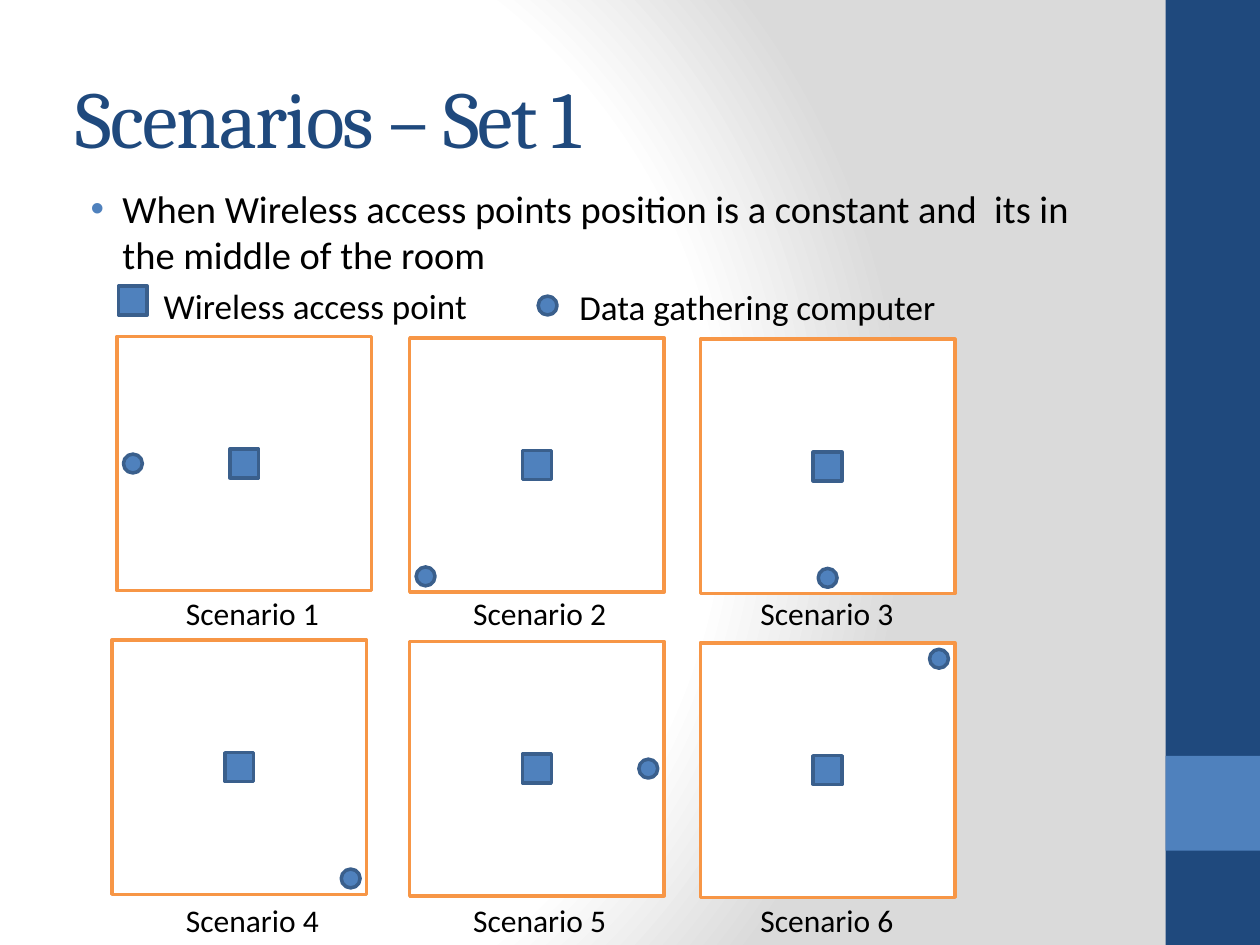
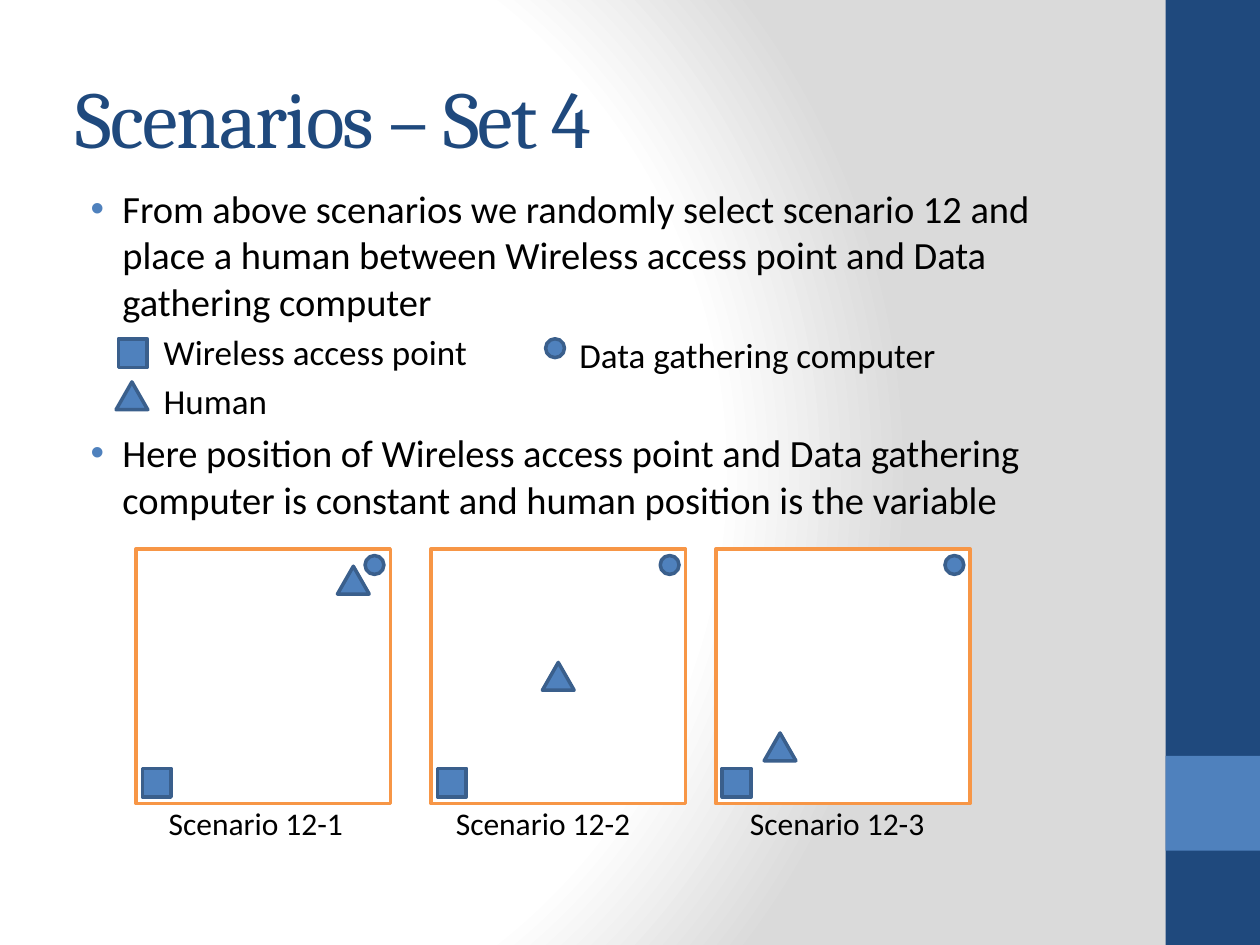
import pptx
import pptx.dml.color
import pptx.enum.shapes
import pptx.enum.text
import pptx.oxml
import pptx.oxml.ns
import pptx.util

Cm, Pt = pptx.util.Cm, pptx.util.Pt
SHAPE = pptx.enum.shapes.MSO_SHAPE
ANCHOR = pptx.enum.text.MSO_ANCHOR
A_NS = pptx.oxml.ns.nsdecls("a")


class Theme:
    navy, blue, outline = "1F497D", "4F81BD", "3A5F8C"
    orange, white, gray, black = "F79646", "FFFFFF", "DADADA", "000000"
    line = Pt(2)
    # Text roles: size, font, colour, left margin and hanging indent in cm
    text = {
        "title": dict(size=46, font="Cambria", color=navy, margin=0, indent=0),
        "point": dict(size=22, font="Calibri", color=black, margin=0.95, indent=-0.64),
        "legend": dict(size=20, font="Calibri", color=black, margin=1.78, indent=0),
        "label": dict(size=20, font="Calibri", color=black, margin=0, indent=0),
        "caption": dict(size=18, font="Calibri", color=black, margin=0, indent=0),
    }


# Marker kinds: outline, width, height in cm
MARKERS = {
    "access point": (SHAPE.RECTANGLE, 0.58, 0.58),
    "computer": (SHAPE.OVAL, 0.38, 0.38),
    "human": (SHAPE.ISOSCELES_TRIANGLE, 0.64, 0.56),
}
ROOM = 5.13
WALL_GAP = 0.13


def add_block(shapes, kind, left, top, width, height, fill, line=None):
    block = shapes.add_shape(kind, Cm(left), Cm(top), Cm(width), Cm(height))
    block.shadow.inherit = False
    block.fill.solid()
    block.fill.fore_color.rgb = pptx.dml.color.RGBColor.from_string(fill)
    if line:
        block.line.color.rgb = pptx.dml.color.RGBColor.from_string(line)
        block.line.width = Theme.line
    else:
        block.line.fill.background()
    return block


def write(holder, box, paragraphs, anchor=ANCHOR.TOP):
    for side, length in zip(("left", "top", "width", "height"), box):
        setattr(holder, side, Cm(length))
    frame = holder.text_frame
    frame_format = dict(word_wrap=True, vertical_anchor=anchor,
                        auto_size=pptx.enum.text.MSO_AUTO_SIZE.NONE)
    for name, value in frame_format.items():
        setattr(frame, name, value)
    for number, (role, words) in enumerate(paragraphs):
        style = Theme.text[role]
        paragraph = frame.add_paragraph() if number else frame.paragraphs[0]
        paragraph.alignment = pptx.enum.text.PP_ALIGN.LEFT
        paragraph.space_before = Pt(style["size"] * 0.2 if number else 0)
        run = paragraph.add_run()
        run.text = words
        for name, value in dict(size=Pt(style["size"]), name=style["font"]).items():
            setattr(run.font, name, value)
        run.font.color.rgb = pptx.dml.color.RGBColor.from_string(style["color"])
        if role == "title":
            run.font._element.set("spc", "-100")
        properties = paragraph._p.get_or_add_pPr()
        properties.set("marL", str(Cm(style["margin"])))
        properties.set("indent", str(Cm(style["indent"])))
        if role == "point":
            for bullet in (
                f'<a:buClr {A_NS}><a:srgbClr val="{Theme.blue}"/></a:buClr>',
                f'<a:buFont {A_NS} typeface="Arial"/>',
                f'<a:buChar {A_NS} char="•"/>',
            ):
                properties.append(pptx.oxml.parse_xml(bullet))


# Scenario rooms: left, top, caption, caption left, caption top, markers inside.
# A marker's place runs from 0 (left or top wall) to 1 (right or bottom wall).
computer_places = [(0, 0.5), (0, 1), (0.5, 1), (1, 1), (1, 0.5), (1, 0)]
room_lefts = [2.36, 8.26, 14.12, 2.26, 8.26, 14.12]
set_1_rooms = []
for index, (left, place) in enumerate(zip(room_lefts, computer_places)):
    row, column = divmod(index, 3)
    set_1_rooms.append((
        left, 6.78 + 0.03 * column + 6.12 * row,
        f"Scenario {index + 1}", 3.5 + 5.79 * column, 11.86 + 6.17 * row,
        {"computer": place, "access point": (0.5, 0.5)},
    ))

human_places = [(0.93, 0.05), (0.5, 0.5), (0.2, 0.83)]
set_4_rooms = [
    (left, 11.07, f"Scenario 12-{number}", caption_left, 16.08,
     {"computer": (1, 0), "access point": (0, 1), "human": place})
    for number, left, caption_left, place in zip(
        (1, 2, 3), (2.74, 8.69, 14.43), (3.15, 8.94, 14.87), human_places)
]

scenario_sets = [
    dict(
        title="Scenarios – Set 1",
        body=[
            ("point", "When Wireless access points position is a constant and  its in "
                      "the middle of the room"),
            ("legend", "Wireless access point"),
        ],
        legend={"access point": (2.39, 5.77), "computer": (10.85, 5.97)},
        computer_label_top=5.64,
        rooms=set_1_rooms,
    ),
    dict(
        title="Scenarios – Set 4",
        body=[
            ("point", "From above scenarios we randomly select scenario 12 and place a "
                      "human between Wireless access point and Data gathering computer"),
            ("legend", "Wireless access point"),
            ("legend", "Human"),
            ("point", "Here position of Wireless access point and Data gathering "
                      "computer is constant and human position is the variable"),
        ],
        legend={"access point": (2.39, 6.83), "computer": (11, 6.83),
                "human": (2.34, 7.7)},
        computer_label_top=6.59,
        rooms=set_4_rooms,
    ),
]

deck = pptx.Presentation()
deck.slide_width, deck.slide_height = Cm(25.4), Cm(19.05)
master = deck.slide_master

# Shared background: radial fade from white to gray
background = master.background.fill
background.solid()
solid = master._element.cSld.find(".//" + pptx.oxml.ns.qn("a:solidFill"))
stops = "".join(
    f'<a:gs pos="{position * 1000}"><a:srgbClr val="{color}"/></a:gs>'
    for position, color in ((0, Theme.white), (75, Theme.white), (100, Theme.gray)))
solid.getparent().replace(solid, pptx.oxml.parse_xml(
    f'<a:gradFill {A_NS} rotWithShape="1"><a:gsLst>{stops}</a:gsLst>'
    '<a:path path="circle"><a:fillToRect l="20000" t="50000" r="100000" b="50000"/>'
    '</a:path></a:gradFill>'))

for scenario_set in scenario_sets:
    slide = deck.slides.add_slide(deck.slide_layouts[5])

    # Side bands, kept on the master
    if len(deck.slides) == 1:
        for top, height, color in ((0, 19.05, Theme.navy), (15.24, 1.91, Theme.blue)):
            band = add_block(slide.shapes, SHAPE.RECTANGLE, 23.5, top, 1.9, height, color)
            master.shapes._spTree.append(band._element)

    # Title and explanation
    write(slide.shapes.title, (1.27, 0.76, 21.16, 3.18),
          [("title", scenario_set["title"])], ANCHOR.MIDDLE)
    explanation = slide.shapes.add_textbox(0, 0, 0, 0)
    write(explanation, (1.27, 3.61, 21.16, 14.17), scenario_set["body"])

    # Legend: second label and markers
    computer_label = slide.shapes.add_textbox(0, 0, 0, 0)
    write(computer_label, (11.43, scenario_set["computer_label_top"], 9, 1.1),
          [("label", "Data gathering computer")])
    for marker, (left, top) in scenario_set["legend"].items():
        kind, width, height = MARKERS[marker]
        add_block(slide.shapes, kind, left, top, width, height, Theme.blue, Theme.outline)

    # Rooms with their markers and captions
    for left, top, caption, caption_left, caption_top, places in scenario_set["rooms"]:
        room = slide.shapes.add_group_shape().shapes
        add_block(room, SHAPE.RECTANGLE, left, top, ROOM, ROOM, Theme.white, Theme.orange)
        for marker, (across, down) in places.items():
            kind, width, height = MARKERS[marker]
            add_block(room, kind,
                      left + WALL_GAP + across * (ROOM - 2 * WALL_GAP - width),
                      top + WALL_GAP + down * (ROOM - 2 * WALL_GAP - height),
                      width, height, Theme.blue, Theme.outline)
        write(slide.shapes.add_textbox(0, 0, 0, 0),
              (caption_left, caption_top, 4.4, 1.02), [("caption", caption)])

deck.save("out.pptx")
